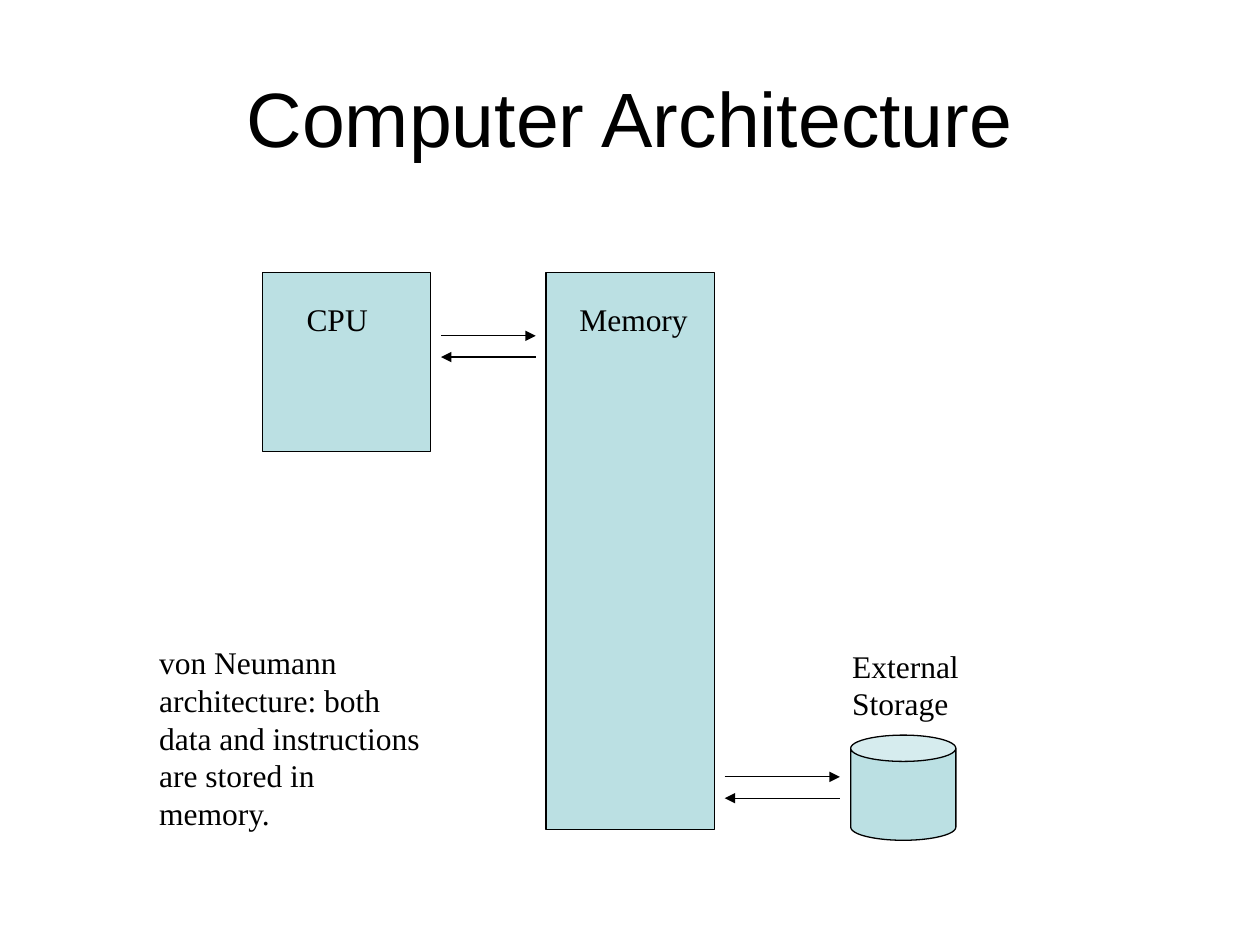
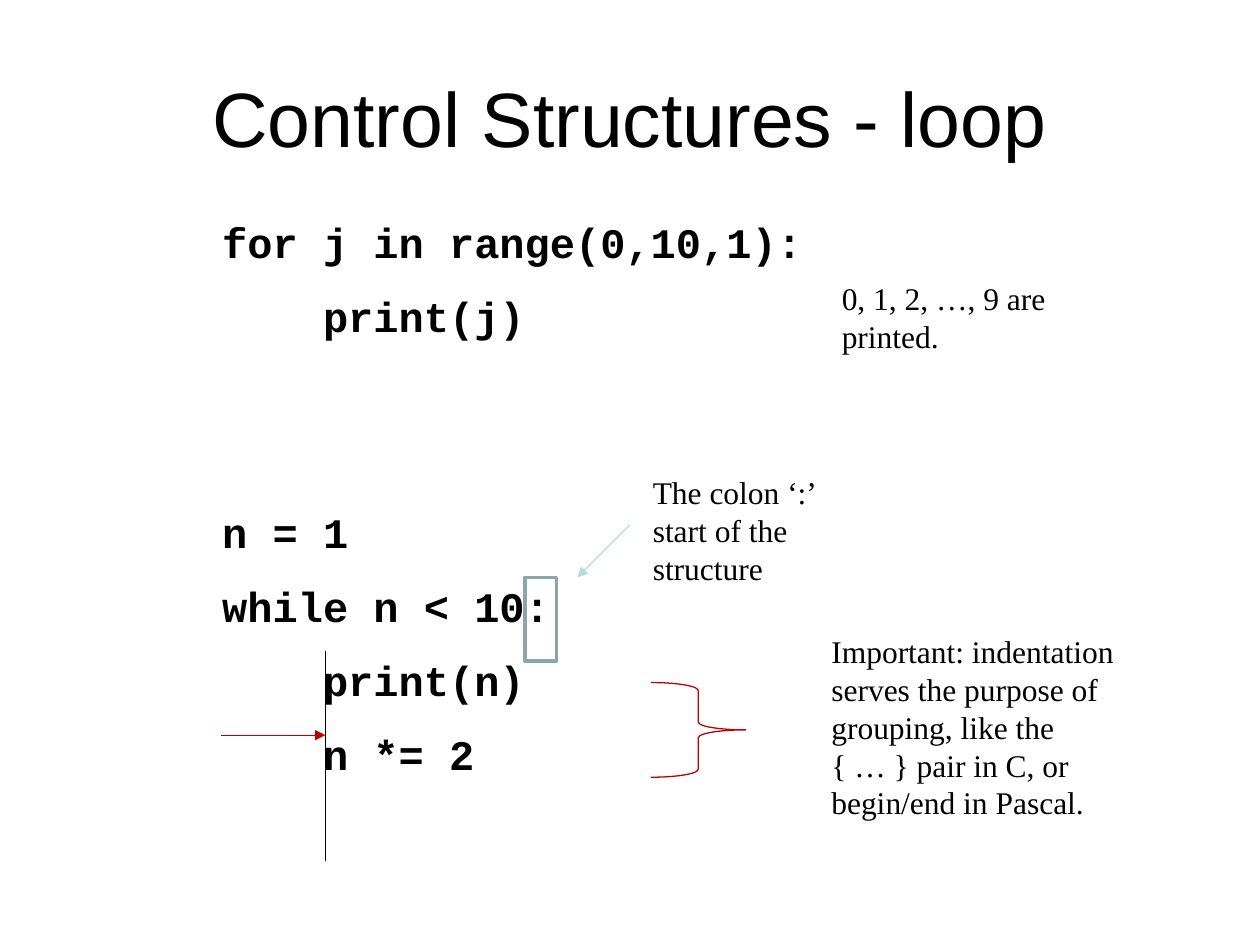
"""Build two lecture slides on computer architecture and loops."""
from dataclasses import dataclass

import lxml.etree
import pptx
import pptx.dml.color
import pptx.enum.shapes
import pptx.enum.text
import pptx.oxml.ns
import pptx.util

Cm = pptx.util.Cm
Pt = pptx.util.Pt
Kind = pptx.enum.shapes.MSO_SHAPE
Align = pptx.enum.text.PP_ALIGN
Anchor = pptx.enum.text.MSO_ANCHOR
Fit = pptx.enum.text.MSO_AUTO_SIZE


@dataclass(frozen=True)
class Theme:
    """Hold the colours, fonts and sizes that the slides share."""
    ink: str = "000000"
    aqua: str = "BBE0E3"
    pale: str = "B6DCDF"
    slate: str = "8AA6A8"
    red: str = "C00000"
    thin: float = 0.75
    thick: float = 2
    title: tuple = ("Arial", 44, False)
    note: tuple = ("Times New Roman", 18, False)
    code: tuple = ("Courier New", 24, True)
    gap: float = 13.5
    break_gap: float = 95


THEME = Theme()


def tint(name):
    """Turn a hex string into a colour."""
    return pptx.dml.color.RGBColor.from_string(name)


def apply(item, form):
    """Set each attribute named in a dict of format values."""
    for key, value in form.items():
        setattr(item, key, value)


def dress(para, style):
    """Give a paragraph its font, size, weight and colour."""
    name, size, bold = style
    apply(para.font, {"name": name, "size": Pt(size), "bold": bold})
    para.font.color.rgb = tint(THEME.ink)


def stroke(line, hue, width):
    """Give a line its colour and width."""
    line.color.rgb = tint(hue)
    line.width = Pt(width)


def start(deck, text):
    """Add a slide with a centred title."""
    slide = deck.slides.add_slide(deck.slide_layouts[5])
    title = slide.shapes.title
    apply(title, {"left": Cm(1.27), "top": Cm(0.76),
                  "width": Cm(22.86), "height": Cm(3.18)})
    frame = title.text_frame
    frame.text = text
    apply(frame, {"vertical_anchor": Anchor.MIDDLE, "word_wrap": True,
                  "auto_size": Fit.NONE})
    frame.paragraphs[0].alignment = Align.CENTER
    dress(frame.paragraphs[0], THEME.title)
    return slide


def shape(slide, kind, place, fill=None, hue=THEME.ink, width=THEME.thin):
    """Add an outlined shape, filled if a fill is given."""
    form = slide.shapes.add_shape(kind, *map(Cm, place))
    form.shadow.inherit = False
    if fill:
        form.fill.solid()
        form.fill.fore_color.rgb = tint(fill)
    else:
        form.fill.background()
    stroke(form.line, hue, width)


def write(slide, place, lines, style=THEME.note, gaps=()):
    """Add a text box with one paragraph a line and gaps between them."""
    frame = slide.shapes.add_textbox(*map(Cm, place)).text_frame
    apply(frame, {"word_wrap": True, "auto_size": Fit.NONE})
    frame.text = "\n".join(lines)
    for para in frame.paragraphs:
        dress(para, style)
    for para, gap in zip(frame.paragraphs[1:], gaps):
        para.space_before = Pt(gap)


def rule(slide, ends, hue=THEME.ink, arrow=True):
    """Add a straight line, with an arrowhead at its end if asked."""
    link = slide.shapes.add_connector(
        pptx.enum.shapes.MSO_CONNECTOR.STRAIGHT, *map(Cm, ends))
    stroke(link.line, hue, THEME.thin)
    tag = pptx.oxml.ns.qn
    props = link.element.spPr
    if arrow:
        lxml.etree.SubElement(props.find(tag("a:ln")), tag("a:tailEnd"),
                              type="triangle")
    lxml.etree.SubElement(props, tag("a:effectLst"))


def swap(slide, left, right, top):
    """Add a pair of arrows, one each way."""
    low = top + 0.43
    rule(slide, (left, top, right, top))
    rule(slide, (right, low, left, low))


def machine(deck):
    """Draw the processor, memory and storage."""
    slide = start(deck, "Computer Architecture")
    shape(slide, Kind.RECTANGLE, (5.29, 5.5, 3.39, 3.6), THEME.aqua)
    shape(slide, Kind.RECTANGLE, (11.01, 5.5, 3.39, 11.22), THEME.aqua)
    shape(slide, Kind.CAN, (17.15, 14.82, 2.12, 2.12), THEME.aqua)
    swap(slide, 8.89, 10.8, 6.77)
    swap(slide, 14.61, 16.93, 15.66)
    for place, text in (
            ((5.93, 5.93, 2.33, 1.02), "CPU"),
            ((11.43, 5.93, 2.96, 1.02), "Memory"),
            ((16.93, 12.91, 3.39, 1.78), "External Storage"),
            ((2.96, 12.84, 5.93, 4.11),
             "von Neumann architecture: both data and instructions "
             "are stored in memory.")):
        write(slide, place, [text])


def loops(deck):
    """Show the two loops with notes and marks."""
    slide = start(deck, "Control Structures - loop")
    code = ["for j in range(0,10,1):", "    print(j)", "n = 1",
            "while n < 10:", "    print(n)", "    n *= 2"]
    gaps = [THEME.gap, THEME.break_gap] + [THEME.gap] * 3
    write(slide, (4.23, 4.23, 16.3, 13.34), code, THEME.code, gaps)
    for place, text in (
            ((16.51, 12.62, 6.56, 4.11),
             "Important: indentation serves the purpose of grouping, "
             "like the { … } pair in C, or begin/end in Pascal."),
            ((16.72, 5.5, 6.35, 1.8), "0, 1, 2, …, 9 are printed."),
            ((12.91, 9.42, 4.76, 2.56),
             "The colon ‘:’ start of the structure")):
        write(slide, place, [text])
    shape(slide, Kind.RIGHT_BRACE, (13.12, 13.76, 1.91, 1.91), hue=THEME.red)
    shape(slide, Kind.RECTANGLE, (10.58, 11.64, 0.64, 1.69),
          hue=THEME.slate, width=THEME.thick)
    indent = 6.56
    rule(slide, (indent, 13.12, indent, 17.36), arrow=False)
    rule(slide, (4.45, 14.82, indent, 14.82), THEME.red)
    rule(slide, (12.7, 10.58, 11.64, 11.64), THEME.pale)


def main():
    """Build and save the deck."""
    deck = pptx.Presentation()
    apply(deck, {"slide_width": Cm(25.4), "slide_height": Cm(19.05)})
    machine(deck)
    loops(deck)
    deck.save("out.pptx")


if __name__ == "__main__":
    main()
